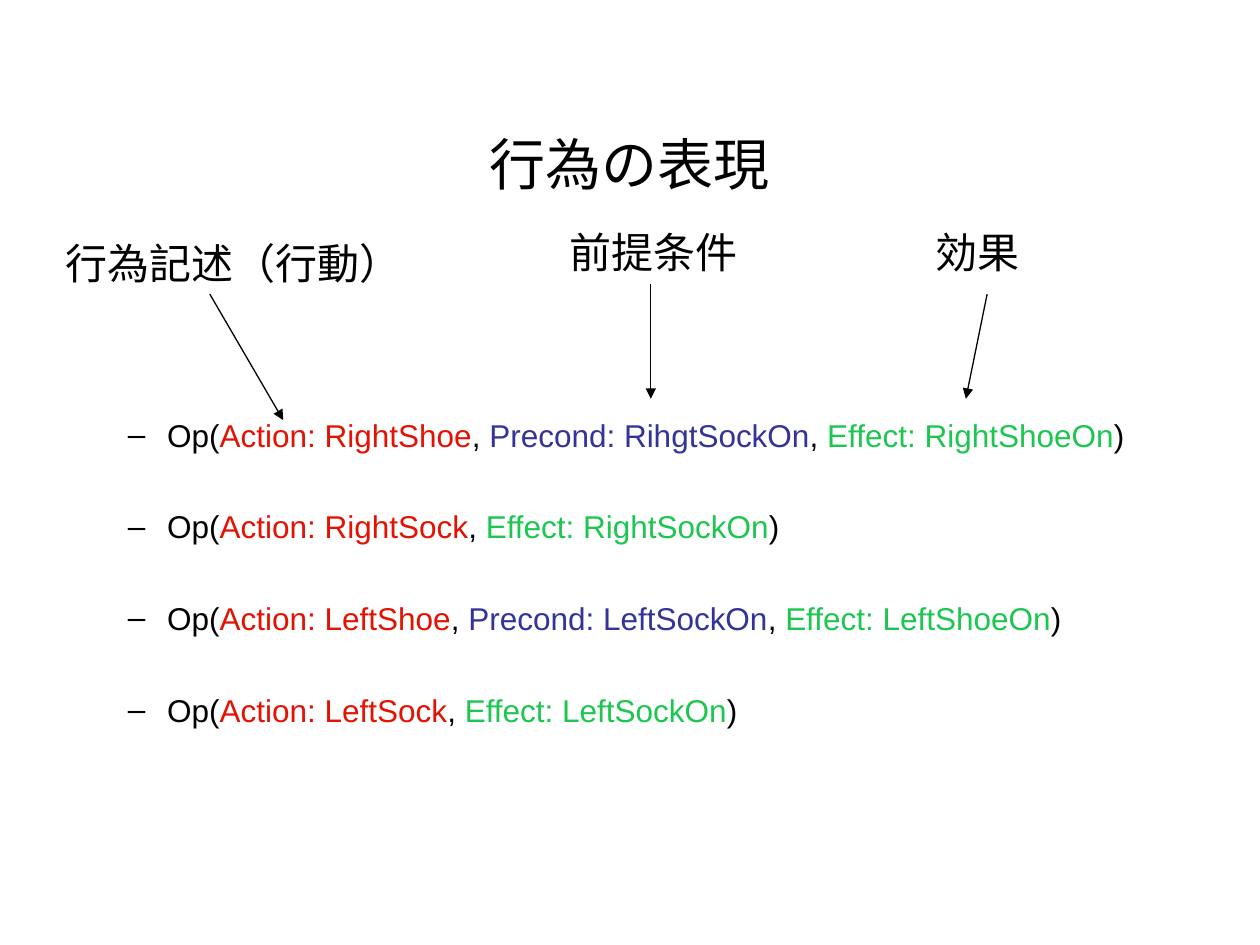
"""Build the slide on how actions are represented as operators."""
from lxml import etree
from pptx import Presentation
from pptx.dml.color import RGBColor
from pptx.enum.shapes import MSO_CONNECTOR
from pptx.enum.text import MSO_ANCHOR, MSO_AUTO_SIZE, PP_ALIGN
from pptx.oxml.ns import qn
from pptx.util import Cm, Pt

STRAIGHT = MSO_CONNECTOR.STRAIGHT
MIDDLE = MSO_ANCHOR.MIDDLE
FIT_SHAPE = MSO_AUTO_SIZE.SHAPE_TO_FIT_TEXT
CENTER = PP_ALIGN.CENTER

BLACK = RGBColor(0x00, 0x00, 0x00)
RED = RGBColor(0xE3, 0x12, 0x02)
BLUE = RGBColor(0x33, 0x33, 0x99)
GREEN = RGBColor(0x1C, 0xC6, 0x50)
PART_COLORS = {"Action": RED, "Precond": BLUE, "Effect": GREEN}

TITLE = "行為の表現"
OPERATORS = [
    [("Action", "RightShoe"), ("Precond", "RihgtSockOn"), ("Effect", "RightShoeOn")],
    [("Action", "RightSock"), ("Effect", "RightSockOn")],
    [("Action", "LeftShoe"), ("Precond", "LeftSockOn"), ("Effect", "LeftShoeOn")],
    [("Action", "LeftSock"), ("Effect", "LeftSockOn")],
]
LABELS = [
    ("行為記述（行動）", (1.07, 4.66, 7.4, 1.27)),
    ("前提条件", (11.23, 4.45, 3.89, 1.27)),
    ("効果", (18.61, 4.45, 2.3, 1.27)),
]
ARROWS = [
    (4.23, 5.93, 5.71, 8.47),
    (13.12, 5.72, 13.12, 8.04),
    (19.9, 5.93, 19.47, 8.04),
]


def add_box(page, area):
    return page.shapes.add_textbox(*(Cm(length) for length in area))


def add_span(para, text, size, color=BLACK):
    span = para.add_run()
    span.text = text
    span.font.name = "Arial"
    span.font.size = Pt(size)
    span.font.color.rgb = color


def add_title(page):
    box = add_box(page, (1.9, 1.7, 21.59, 3.18))
    box.text_frame.word_wrap = True
    box.text_frame.vertical_anchor = MIDDLE
    para = box.text_frame.paragraphs[0]
    para.alignment = CENTER
    add_span(para, TITLE, 32)


def add_dash(para):
    properties = para._p.get_or_add_pPr()
    properties.set("marL", str(Cm(2.06)))
    properties.set("indent", str(Cm(-0.79)))
    color = etree.SubElement(properties, qn("a:buClr"))
    etree.SubElement(color, qn("a:srgbClr"), val=str(BLACK))
    etree.SubElement(properties, qn("a:buFont"), typeface="Arial")
    etree.SubElement(properties, qn("a:buChar"), char="–")


def add_operators(page):
    frame = add_box(page, (1.06, 5.5, 22.43, 11.43)).text_frame
    frame.word_wrap = True
    frame.margin_top = Cm(2.88)
    for row, parts in enumerate(OPERATORS):
        para = frame.add_paragraph() if row else frame.paragraphs[0]
        add_dash(para)
        if row:
            para.space_before = Pt(30.8)
        for index, (name, value) in enumerate(parts):
            add_span(para, ", " if index else "Op(", 18)
            add_span(para, f"{name}: {value}", 18, PART_COLORS[name])
        add_span(para, ")", 18)


def add_label(page, text, area):
    frame = add_box(page, area).text_frame
    frame.word_wrap = False
    frame.auto_size = FIT_SHAPE
    add_span(frame.paragraphs[0], text, 24)


def add_arrow(page, ends):
    arrow = page.shapes.add_connector(STRAIGHT, *(Cm(length) for length in ends))
    arrow.line.color.rgb = BLACK
    arrow.line.width = Pt(0.75)
    etree.SubElement(arrow.line._get_or_add_ln(), qn("a:tailEnd"), type="triangle")
    etree.SubElement(arrow._element.spPr, qn("a:effectLst"))


def main():
    deck = Presentation()
    deck.slide_width, deck.slide_height = Cm(25.4), Cm(19.05)
    page = deck.slides.add_slide(deck.slide_layouts[6])
    add_title(page)
    add_operators(page)
    for text, area in LABELS:
        add_label(page, text, area)
    for ends in ARROWS:
        add_arrow(page, ends)
    deck.save("out.pptx")


if __name__ == "__main__":
    main()
